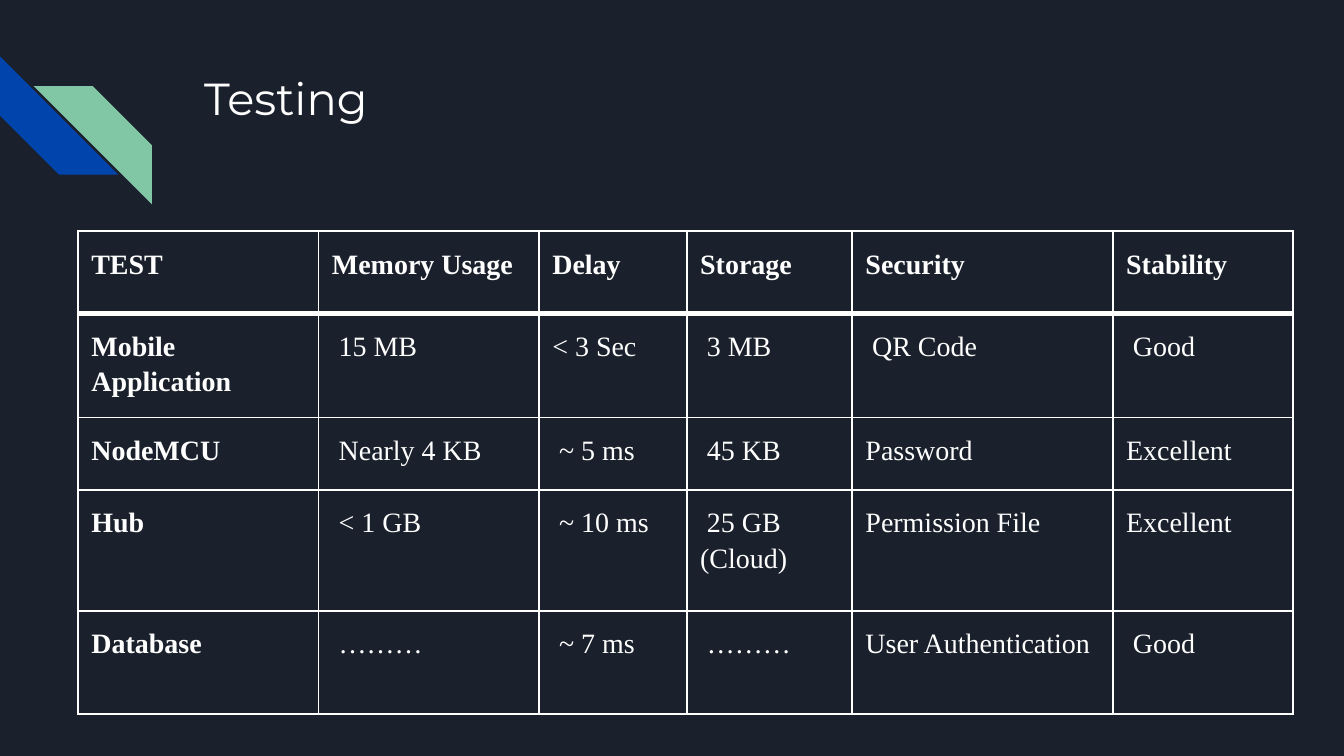
"""Build the Testing slide with its table of test results."""
import pptx
import pptx.dml.color
import pptx.enum.shapes
import pptx.oxml
import pptx.oxml.ns
import pptx.util
from pptx.util import Inches

COLORS = {"night": "1B212C", "blue": "0145AC", "green": "82C7A5", "white": "FFFFFF"}


def write(holder, text, font, size, bold=False, spacing=1.0, indent=0):
    holder.margin_left = holder.margin_right = Inches(0.1)
    holder.margin_top = holder.margin_bottom = Inches(0.1)
    line = getattr(holder, "text_frame", holder).paragraphs[0]
    line.line_spacing = spacing
    if indent:
        line._p.get_or_add_pPr().set("indent", str(Inches(indent)))
    words = line.add_run()
    words.text = text
    words.font.name = font
    words.font.size = pptx.util.Pt(size)
    words.font.bold = bold
    words.font.color.rgb = pptx.dml.color.RGBColor.from_string(COLORS["white"])


def add_border(cell, side, width):
    properties = cell._tc.get_or_add_tcPr()
    properties.append(pptx.oxml.parse_xml(
        f'<a:{side} {pptx.oxml.ns.nsdecls("a")} w="{pptx.util.Pt(width)}">'
        f'<a:solidFill><a:srgbClr val="{COLORS["white"]}"/></a:solidFill>'
        f'<a:prstDash val="solid"/></a:{side}>'))


deck = pptx.Presentation()
deck.slide_width, deck.slide_height = Inches(10), Inches(10 * 9 / 16)
slide = deck.slides.add_slide(deck.slide_layouts[6])
slide.background.fill.solid()
slide.background.fill.fore_color.rgb = pptx.dml.color.RGBColor.from_string(COLORS["night"])

for color, left, top, rotation, flipped in [
        ("blue", 0, 0.42, 270, False), ("green", 0.25, 0.64, 0, True)]:
    stripe = slide.shapes.add_shape(
        pptx.enum.shapes.MSO_SHAPE.DIAGONAL_STRIPE,
        Inches(left), Inches(top), Inches(0.88), Inches(0.88))
    stripe.rotation = rotation
    if flipped:
        stripe._element.spPr.xfrm.set("flipH", "1")
    stripe.shadow.inherit = False
    stripe.fill.solid()
    stripe.fill.fore_color.rgb = pptx.dml.color.RGBColor.from_string(COLORS[color])
    stripe.line.fill.background()

title = slide.shapes.add_textbox(Inches(1.42), Inches(0.43), Inches(7.7), Inches(1))
title.text_frame.word_wrap = True
write(title.text_frame, "Testing", font="Montserrat", size=24)

column_widths = [1.79, 1.64, 1.1, 1.23, 1.94, 1.34]
row_heights = [0.61, 0.74, 0.54, 0.9, 0.77]
results = [
    ["TEST", "Memory Usage", "Delay", "Storage", "Security", "Stability"],
    ["Mobile Application", "15 MB", "< 3 Sec", "3 MB", "QR Code", "Good"],
    ["NodeMCU", "Nearly 4 KB", "~ 5 ms", "45 KB", "Password", "Excellent"],
    ["Hub", "< 1 GB", "~ 10 ms", "25 GB (Cloud)", "Permission File", "Excellent"],
    ["Database", "………", "~ 7 ms", "………", "User Authentication", "Good"],
]
indented_columns = [(), (1, 3, 4, 5), (1, 2, 3), (1, 2, 3), (1, 2, 3, 5)]

table = slide.shapes.add_table(
    len(results), len(column_widths), Inches(0.58), Inches(1.72),
    Inches(sum(column_widths)), Inches(sum(row_heights))).table
table.first_row = table.horz_banding = False
for column, width in zip(table.columns, column_widths):
    column.width = Inches(width)
for row, height in zip(table.rows, row_heights):
    row.height = Inches(height)

for r, values in enumerate(results):
    for c, value in enumerate(values):
        cell = table.cell(r, c)
        write(cell, value, font="Times New Roman", size=15,
              bold=r == 0 or c == 0, spacing=1.15,
              indent=0.05 if c in indented_columns[r] else 0)
        add_border(cell, "lnL", 1)
        add_border(cell, "lnR", 1)
        add_border(cell, "lnT", 3 if r == 1 else 1)
        add_border(cell, "lnB", 3 if r == 0 else 1)
        cell.fill.background()

deck.save("out.pptx")
